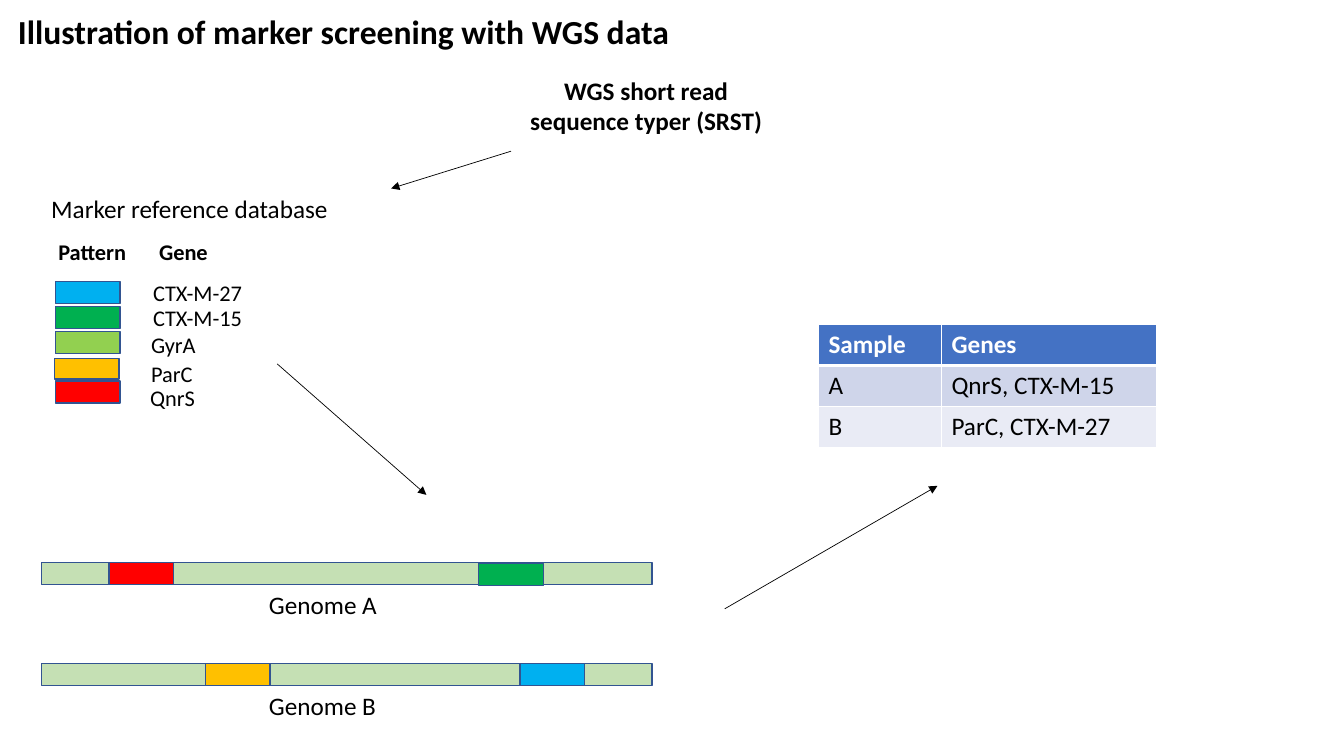
from lxml import etree
from pptx import Presentation
from pptx import util as u
from pptx.dml.color import RGBColor
from pptx.enum import shapes, text
from pptx.oxml import ns

THEME = {
    "font": "Calibri", "title": 24, "body": 18, "label": 16,
    "ink": "000000", "paper": "FFFFFF", "outline": "325491",
    "genome": "C5E0B4", "header": "4472C4", "bands": ["CFD5EA", "E9EBF5"],
    "CTX-M-27": "00B0F0", "CTX-M-15": "00B050", "GyrA": "92D050",
    "ParC": "FFC000", "QnrS": "FF0000",
}
COLUMNS, ROWS = 133.33, 75  # square grid, ten units to the inch
CELL = u.Inches(0.1)

deck = Presentation()
deck.slide_width, deck.slide_height = int(COLUMNS * CELL), ROWS * CELL
page = deck.slides.add_slide(deck.slide_layouts[6])


def write(words, place=None, frame=None, size="body", bold=False,
          color="ink", align=text.PP_ALIGN.LEFT):
    """Write words in a new box at place, or in the given text frame."""
    if frame is None:
        box = page.shapes.add_textbox(*[int(n * CELL) for n in place])
        frame = box.text_frame
        frame.word_wrap = True
    para = frame.paragraphs[0]
    para.alignment = align
    span = para.add_run()
    span.text = words
    span.font.name = THEME["font"]
    span.font.size = u.Pt(THEME[size])
    span.font.bold = bold
    span.font.color.rgb = RGBColor.from_string(THEME[color])


def block(color, left, top, width=6.4, height=2.2):
    """Draw an outlined rectangle in a theme colour."""
    box = page.shapes.add_shape(shapes.MSO_SHAPE.RECTANGLE,
                                *[int(n * CELL) for n in (left, top, width, height)])
    box.shadow.inherit = False
    box.fill.solid()
    box.fill.fore_color.rgb = RGBColor.from_string(THEME[color])
    box.line.color.rgb = RGBColor.from_string(THEME["outline"])
    box.line.width = u.Pt(1)


# Headings
write("Illustration of marker screening with WGS data", (0.8, 0.6, 70, 5),
      size="title", bold=True)
write("WGS short read sequence typer (SRST)", (50.7, 7, 26.8, 7.1),
      bold=True, align=text.PP_ALIGN.CENTER)

# Marker reference database: gene, swatch left, top and height, label left and top
write("Marker reference database", (4.1, 18.7, 41, 7.1))
write("Pattern\tGene", (4.8, 23.1, 22.7, 3.7), size="label", bold=True)
for gene, left, top, height, label_left, label_top in [
    ("CTX-M-27", 5.5, 27.9, 2.2, 14.2, 27.2),
    ("CTX-M-15", 5.5, 30.4, 2.2, 14.2, 29.7),
    ("GyrA", 5.5, 32.9, 2.2, 14, 32.4),
    ("ParC", 5.4, 35.6, 2, 14, 35.2),
    ("QnrS", 5.5, 37.8, 2.2, 13.9, 37.6),
]:
    block(gene, left, top, height=height)
    write(gene, (label_left, label_top, 11.5, 3.7), size="label")

# Genomes with the markers found on them
for name, top, markers in [
    ("Genome A", 55.8, [("QnrS", 10.8, 55.8), ("CTX-M-15", 47.5, 55.9)]),
    ("Genome B", 65.8, [("ParC", 20.4, 65.8), ("CTX-M-27", 51.6, 65.8)]),
]:
    block("genome", 4.1, top, width=60.6)
    write(name, (25.7, top + 2.2, 13.1, 4))
    for gene, left, marker_top in markers:
        block(gene, left, marker_top)

# Result table
results = [("Sample", "Genes"), ("A", "QnrS, CTX-M-15"), ("B", "ParC, CTX-M-27")]
table = page.shapes.add_table(
    3, 2, *[int(n * CELL) for n in (81.2, 32.2, 33.5, 12.2)]).table
for column, width in zip(table.columns, (12.2, 21.3)):
    column.width = int(width * CELL)
for row, values in enumerate(results):
    heading = row == 0
    fill = THEME["header"] if heading else THEME["bands"][row - 1]
    for column, value in enumerate(values):
        cell = table.cell(row, column)
        write(value, frame=cell.text_frame, bold=heading,
              color="paper" if heading else "ink")
        for side in "LRTB":
            thick = (heading and side == "B") or (row == 1 and side == "T")
            border = etree.SubElement(cell._tc.get_or_add_tcPr(), ns.qn("a:ln" + side),
                                      w=str(u.Pt(3 if thick else 1)))
            paint = etree.SubElement(border, ns.qn("a:solidFill"))
            etree.SubElement(paint, ns.qn("a:srgbClr"), val=THEME["paper"])
        cell.fill.solid()
        cell.fill.fore_color.rgb = RGBColor.from_string(fill)

# Workflow arrows
for ends in [(50.7, 15, 38.8, 18.7), (27.5, 36.1, 42.3, 49.1), (71.9, 60.4, 93, 48.2)]:
    arrow = page.shapes.add_connector(shapes.MSO_CONNECTOR.STRAIGHT,
                                      *[int(n * CELL) for n in ends])
    arrow.line.color.rgb = RGBColor.from_string(THEME["ink"])
    arrow.line.width = u.Pt(0.5)
    etree.SubElement(arrow.line._get_or_add_ln(), ns.qn("a:tailEnd"), type="triangle")
    etree.SubElement(arrow._element.spPr, ns.qn("a:effectLst"))

deck.save("out.pptx")
